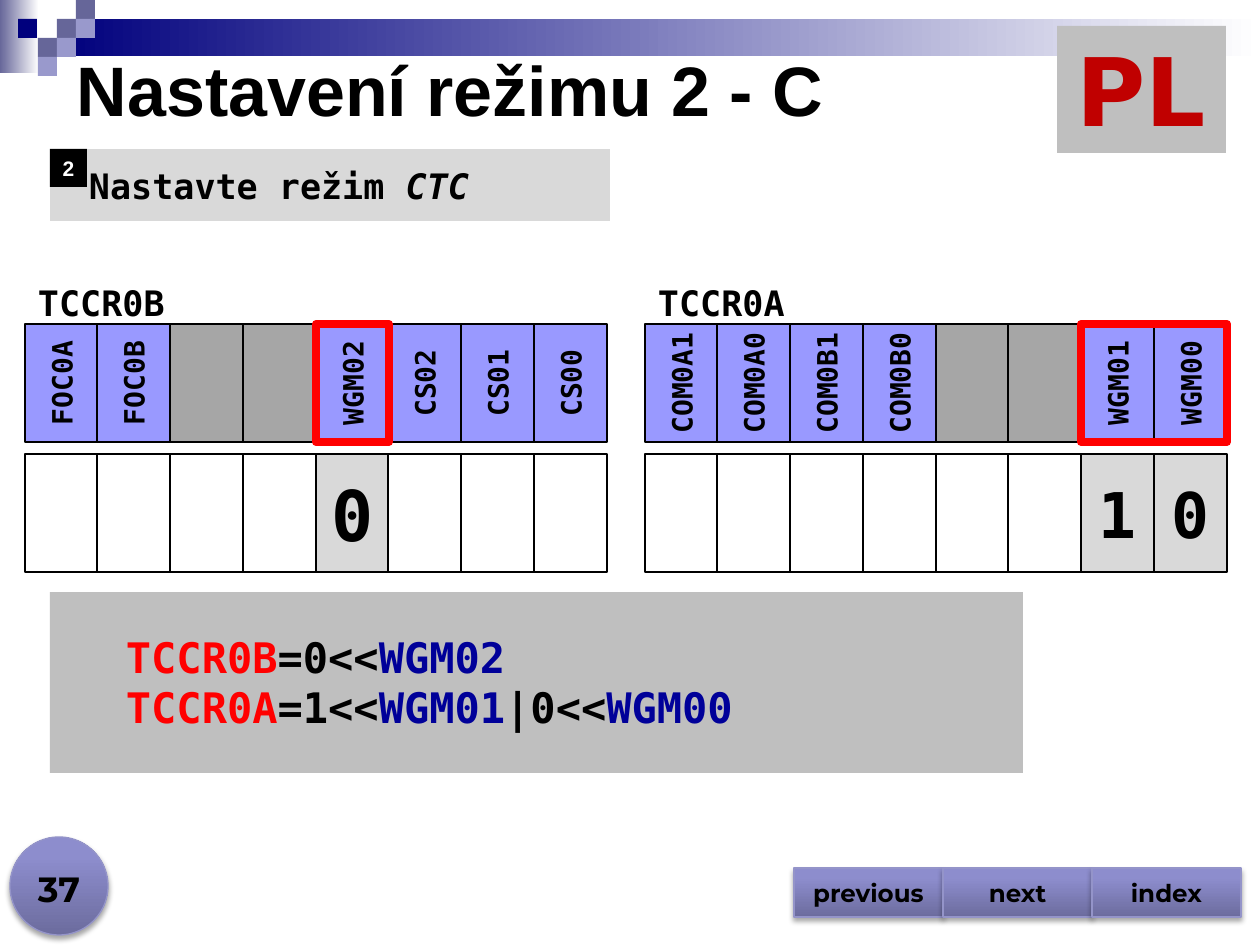
from dataclasses import dataclass
from typing import NamedTuple, Optional

from lxml.etree import SubElement
from pptx import Presentation
from pptx.dml.color import RGBColor
from pptx.enum.shapes import MSO_SHAPE
from pptx.enum.text import MSO_ANCHOR, PP_ALIGN
from pptx.oxml.ns import qn
from pptx.util import Emu, Pt

PX = 914400 / 126
MONO = "DejaVu Sans Mono"
C = {
    "black": "000000", "white": "FFFFFF", "red": "FF0000", "dark_red": "C00000",
    "navy": "00007D", "code_blue": "000099", "slate": "666699", "lavender": "9999CC",
    "bit": "9999FF", "reserved": "A6A6A6", "light": "D9D9D9", "panel": "BFBFBF",
    "shade": "6C6C9E", "button": "8D8DCD", "button_top": "8C8CCF", "rim": "9494C9",
}
BUTTON_STOPS = [(0, "shade"), (80, "button"), (100, "button_top")]


class Box(NamedTuple):
    x: int
    y: int
    w: int
    h: int


@dataclass
class Run:
    text: str
    color: str = "black"
    italic: bool = False


@dataclass
class Style:
    size: int
    font: str = MONO
    align: PP_ALIGN = PP_ALIGN.CENTER
    anchor: MSO_ANCHOR = MSO_ANCHOR.MIDDLE
    wrap: bool = True
    insets: tuple[int, int] = (13, 6)
    vertical: bool = False


@dataclass
class Register:
    name: str
    left: int
    bits: list[str]
    values: dict[int, str]
    value_size: int


def emu(px: int) -> Emu:
    return Emu(round(px * PX))


def rgb(name: str) -> RGBColor:
    return RGBColor.from_string(C[name])


def write(s, lines: list[list[Run]], style: Style) -> None:
    tf = s.text_frame
    tf.word_wrap = style.wrap
    tf.vertical_anchor = style.anchor
    side, edge = style.insets
    tf.margin_left, tf.margin_right = emu(side), emu(13)
    tf.margin_top = tf.margin_bottom = emu(edge)
    if style.vertical:
        tf._txBody.bodyPr.set("vert", "vert270")
    for i, runs in enumerate(lines):
        p = tf.paragraphs[0] if i == 0 else tf.add_paragraph()
        p.alignment = style.align
        for run in runs:
            r = p.add_run()
            r.text = run.text
            r.font.name, r.font.size = style.font, Pt(style.size)
            r.font.bold, r.font.italic = True, run.italic
            r.font.color.rgb = rgb(run.color)


def add_text(slide, box: Box, text: str, style: Style) -> None:
    write(slide.shapes.add_textbox(*map(emu, box)), [[Run(text)]], style)


def add_box(slide, box: Box, fill: Optional[str] = None, line: Optional[str] = None,
            width: float = 0.75, kind: MSO_SHAPE = MSO_SHAPE.RECTANGLE):
    s = slide.shapes.add_shape(kind, *map(emu, box))
    s.shadow.inherit = False
    if fill:
        s.fill.solid()
        s.fill.fore_color.rgb = rgb(fill)
    else:
        s.fill.background()
    if line:
        s.line.color.rgb = rgb(line)
        s.line.width = Pt(width)
    else:
        s.line.fill.background()
    return s


def set_gradient(s, stops: list[tuple[int, str]], angle: int) -> None:
    s.fill.gradient()
    s.fill.gradient_angle = angle
    gs_list = s._element.spPr.find(".//" + qn("a:gsLst"))
    for gs in list(gs_list):
        gs_list.remove(gs)
    for pos, color in stops:
        gs = SubElement(gs_list, qn("a:gs"), pos=str(pos * 1000))
        SubElement(gs, qn("a:srgbClr"), val=C[color])


def add_button(slide, box: Box, kind: MSO_SHAPE):
    s = add_box(slide, box, line="rim", kind=kind)
    set_gradient(s, BUTTON_STOPS, 90)
    effects = s._element.spPr.find(qn("a:effectLst"))
    shadow = SubElement(effects, qn("a:outerShdw"), blurRad=str(Pt(3.1)),
                        dist=str(Pt(1.8)), dir="5400000", rotWithShape="0")
    color = SubElement(shadow, qn("a:srgbClr"), val=C["black"])
    SubElement(color, qn("a:alpha"), val="35000")
    return s


def add_header(slide) -> None:
    for box, color in [(Box(0, 0, 39, 73), "slate"), (Box(57, 19, 1203, 37), "navy")]:
        set_gradient(add_box(slide, box), [(0, color), (100, "white")], 0)
    squares = [(57, 19, "slate"), (76, 0, "slate"), (76, 19, "lavender"), (38, 38, "slate"),
               (18, 19, "navy"), (57, 38, "lavender"), (38, 57, "lavender")]
    for x, y, color in squares:
        add_box(slide, Box(x, y, 19, 19), color)


def add_register(slide, reg: Register) -> None:
    def cell(i: int, y: int) -> Box:
        return Box(reg.left + 582 * i // 8, y, 73, 118)

    add_text(slide, Box(reg.left, 275, 256, 55), reg.name,
             Style(20, align=PP_ALIGN.LEFT, anchor=MSO_ANCHOR.TOP))
    for i, bit in enumerate(reg.bits):
        s = add_box(slide, cell(i, 324), "bit" if bit else "reserved", "black")
        if bit:
            write(s, [[Run(bit)]], Style(16, wrap=False, vertical=True))
        value = reg.values.get(i)
        s = add_box(slide, cell(i, 454), "light" if value else "white", "black")
        if value:
            write(s, [[Run(value)]], Style(reg.value_size, wrap=False))
    frame = cell(min(reg.values), 324)._replace(w=73 * len(reg.values))
    add_box(slide, frame, line="red", width=4.5)


def main() -> None:
    prs = Presentation()
    prs.slide_width, prs.slide_height = emu(1260), emu(945)
    slide = prs.slides.add_slide(prs.slide_layouts[6])

    add_header(slide)
    add_text(slide, Box(64, 39, 1196, 100), "Nastavení režimu 2 - C",
             Style(40, "Arial", PP_ALIGN.LEFT))

    task = add_box(slide, Box(50, 149, 560, 72), "light")
    write(task, [[Run("Nastavte režim "), Run("CTC", italic=True)]],
          Style(20, align=PP_ALIGN.LEFT, anchor=MSO_ANCHOR.TOP, insets=(39, 15)))
    step = add_box(slide, Box(50, 149, 37, 38), "black")
    write(step, [[Run("2", "white")]], Style(12, "Arial", wrap=False))

    code = add_box(slide, Box(50, 592, 973, 181), "panel")
    write(code, [
        [Run("\t"), Run("TCCR0B", "red"), Run("=0<<"), Run("WGM02", "code_blue")],
        [Run("\t"), Run("TCCR0A", "red"), Run("=1<<"), Run("WGM01", "code_blue"),
         Run("|0<<"), Run("WGM00", "code_blue")],
    ], Style(24, align=PP_ALIGN.LEFT, anchor=MSO_ANCHOR.TOP, insets=(13, 39)))

    registers = [
        Register("TCCR0B", 25, ["FOC0A", "FOC0B", "", "", "WGM02", "CS02", "CS01", "CS00"],
                 {4: "0"}, 40),
        Register("TCCR0A", 645, ["COM0A1", "COM0A0", "COM0B1", "COM0B0", "", "", "WGM01", "WGM00"],
                 {6: "1", 7: "0"}, 36),
    ]
    for reg in registers:
        add_register(slide, reg)

    add_button(slide, Box(10, 837, 98, 98), MSO_SHAPE.OVAL)
    add_text(slide, Box(0, 853, 118, 63), "37",
             Style(20, "Montserrat", anchor=MSO_ANCHOR.BOTTOM))
    for i, label in enumerate(["previous", "next", "index"]):
        s = add_button(slide, Box(794 + 149 * i, 868, 149, 49), MSO_SHAPE.ACTION_BUTTON_CUSTOM)
        write(s, [[Run(label)]], Style(14, "Montserrat"))

    badge = add_box(slide, Box(1057, 26, 169, 127), "panel")
    write(badge, [[Run("PL", "dark_red")]],
          Style(54, "DejaVu Sans", anchor=MSO_ANCHOR.TOP))
    prs.save("out.pptx")


if __name__ == "__main__":
    main()
